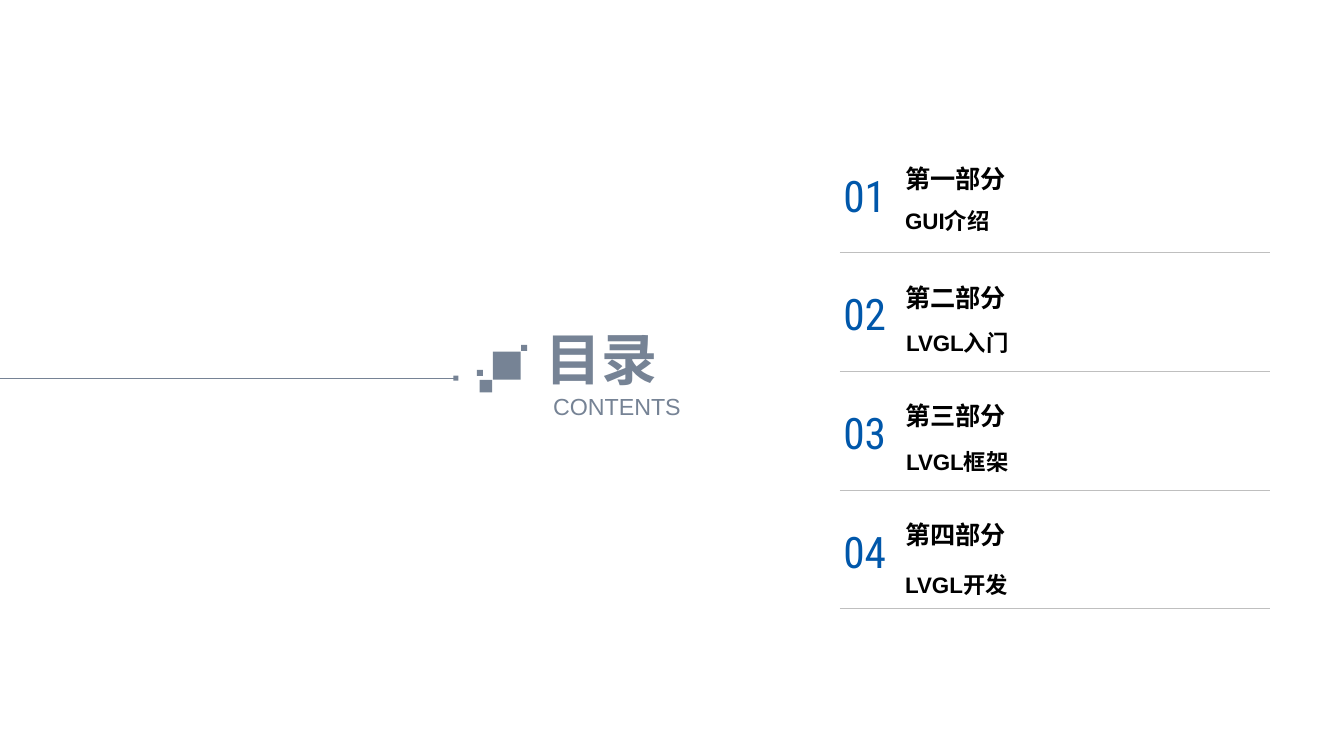
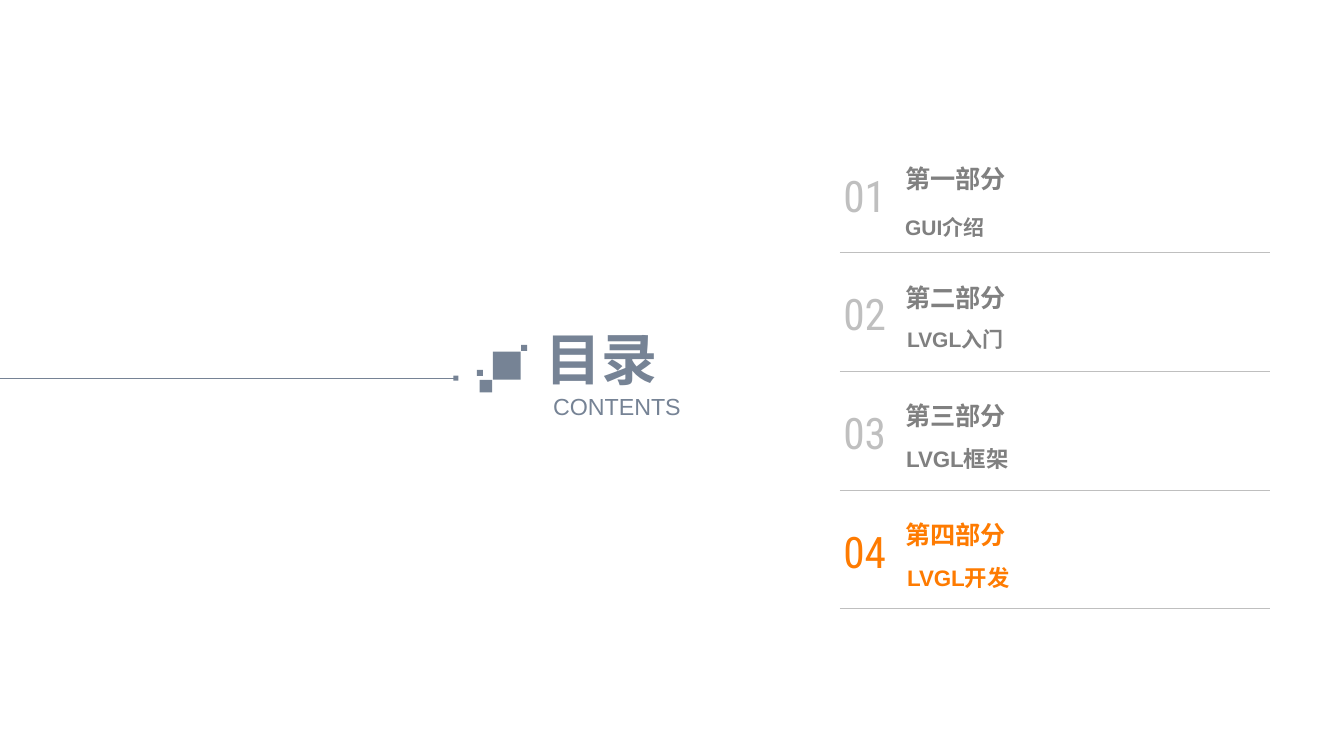
from dataclasses import dataclass
from typing import NamedTuple

from lxml.etree import SubElement
from pptx import Presentation
from pptx.dml.color import RGBColor
from pptx.enum.lang import MSO_LANGUAGE_ID
from pptx.enum.shapes import MSO_CONNECTOR, MSO_SHAPE
from pptx.enum.text import MSO_ANCHOR, MSO_AUTO_SIZE, PP_ALIGN
from pptx.oxml.ns import qn
from pptx.util import Pt


@dataclass(frozen=True)
class Theme:
    slate: str = "768395"
    blue: str = "0057AA"
    black: str = "000000"
    gray: str = "808080"
    silver: str = "BFBFBF"
    orange: str = "FE7B01"
    text_font: str = "Arial"
    number_font: str = "Roboto Condensed"
    title_size: float = 40
    caption_size: float = 16.6
    number_size: float = 31
    part_size: float = 18
    topic_size: float = 16
    small_topic_size: float = 15
    inset: tuple = (7.2, 3.6)


class Entry(NamedTuple):
    """Look of one row; the topic's place is relative to its part heading."""
    number_color: str
    text_color: str
    topic_size: float
    topic_left: float
    topic_top: float


THEME = Theme()
SECTIONS = (
    ("第一部分", "GUI介绍"),
    ("第二部分", "LVGL入门"),
    ("第三部分", "LVGL框架"),
    ("第四部分", "LVGL开发"),
)
SQUARES = (  # left, top, side
    (352, 251.2, 20),
    (372.2, 246.4, 4.3),
    (342.6, 271.4, 8.9),
    (340.6, 264.3, 4.3),
    (323.9, 268.3, 3.6),
)
ROW_LEFT, ROW_RIGHT = 600, 907.2
ROW_TOP, ROW_PITCH = 113, 84.8
HEADING_LEFT, HEADING_WIDTH = 639.4, 267.8


class Deck:
    def __init__(self, theme):
        self.theme = theme
        self.presentation = Presentation()
        self.presentation.slide_width = Pt(960)
        self.presentation.slide_height = Pt(540)
        self.slide = None

    def new_slide(self):
        title_only = self.presentation.slide_layouts[5]
        self.slide = self.presentation.slides.add_slide(title_only)

    def fill_text(self, shape, text, size, color, font=None, bold=False,
                  align=PP_ALIGN.LEFT, anchor=MSO_ANCHOR.TOP, inset=(0, 0), spacing=1):
        frame = shape.text_frame
        frame.auto_size = MSO_AUTO_SIZE.NONE
        frame.word_wrap = True
        frame.vertical_anchor = anchor
        frame.margin_left = frame.margin_right = Pt(inset[0])
        frame.margin_top = frame.margin_bottom = Pt(inset[1])
        paragraph = frame.paragraphs[0]
        paragraph.alignment = align
        paragraph.line_spacing = spacing
        run = paragraph.add_run()
        run.text = text
        run.font.name = font or self.theme.text_font
        run.font.size = Pt(size)
        run.font.bold = bold
        run.font.color.rgb = RGBColor.from_string(color)
        run.font.language_id = MSO_LANGUAGE_ID.SIMPLIFIED_CHINESE

    def title(self, text, left, top, width, height):
        shape = self.slide.shapes.title
        shape.left, shape.top = Pt(left), Pt(top)
        shape.width, shape.height = Pt(width), Pt(height)
        self.fill_text(shape, text, self.theme.title_size, self.theme.slate,
                       bold=True, align=PP_ALIGN.JUSTIFY)

    def text(self, text, left, top, width, height, size, color, **style):
        box = self.slide.shapes.add_textbox(Pt(left), Pt(top), Pt(width), Pt(height))
        self.fill_text(box, text, size, color, **style)

    def square(self, left, top, side):
        shape = self.slide.shapes.add_shape(
            MSO_SHAPE.RECTANGLE, Pt(left), Pt(top), Pt(side), Pt(side))
        shape.shadow.inherit = False
        shape.fill.solid()
        shape.fill.fore_color.rgb = RGBColor.from_string(self.theme.slate)
        shape.line.fill.background()

    def rule(self, left, right, top, color, width):
        line = self.slide.shapes.add_connector(
            MSO_CONNECTOR.STRAIGHT, Pt(left), Pt(top), Pt(right), Pt(top))
        line.line.color.rgb = RGBColor.from_string(color)
        line.line.width = Pt(width)
        SubElement(line._element.spPr, qn("a:effectLst"))

    def contents_heading(self):
        theme = self.theme
        self.rule(0, 325.5, 270, theme.slate, 0.5)
        for square in SQUARES:
            self.square(*square)
        self.title("目录", 389.5, 231.8, 102.2, 48.2)
        self.text("CONTENTS", 389.5, 280.8, 102.2, 18.7, theme.caption_size,
                  theme.slate, align=PP_ALIGN.CENTER, anchor=MSO_ANCHOR.MIDDLE)

    def contents_row(self, index, part, topic, entry):
        theme = self.theme
        top = ROW_TOP + index * ROW_PITCH
        self.text(f"{index + 1:02}", ROW_LEFT, top + 7, 35.3, 38.2,
                  theme.number_size, entry.number_color, font=theme.number_font,
                  align=PP_ALIGN.CENTER, anchor=MSO_ANCHOR.MIDDLE)
        self.text(part, HEADING_LEFT, top, HEADING_WIDTH, 32.4, theme.part_size,
                  entry.text_color, bold=True, inset=theme.inset)
        self.text(topic, HEADING_LEFT + entry.topic_left, top + entry.topic_top,
                  HEADING_WIDTH, 23, entry.topic_size, entry.text_color,
                  bold=True, inset=theme.inset, spacing=1.2)
        self.rule(ROW_LEFT, ROW_RIGHT, top + 67.2, theme.silver, 0.25)

    def contents_slide(self, entries):
        self.new_slide()
        self.contents_heading()
        for index, ((part, topic), entry) in enumerate(zip(SECTIONS, entries)):
            self.contents_row(index, part, topic, entry)


def main():
    overview = [
        Entry(THEME.blue, THEME.black, THEME.topic_size, left, top)
        for left, top in ((0, 27.4), (0.7, 29.7), (0.7, 29.9), (0, 32.9))
    ]
    fourth_part = [
        Entry(THEME.silver, THEME.gray, THEME.small_topic_size, 0, 33.2),
        Entry(THEME.silver, THEME.gray, THEME.small_topic_size, 1.4, 28.3),
        Entry(THEME.silver, THEME.gray, THEME.topic_size, 0.7, 27.7),
        Entry(THEME.orange, THEME.orange, THEME.topic_size, 1.4, 27.9),
    ]
    deck = Deck(THEME)
    for entries in (overview, fourth_part):
        deck.contents_slide(entries)
    deck.presentation.save("out.pptx")


if __name__ == "__main__":
    main()
